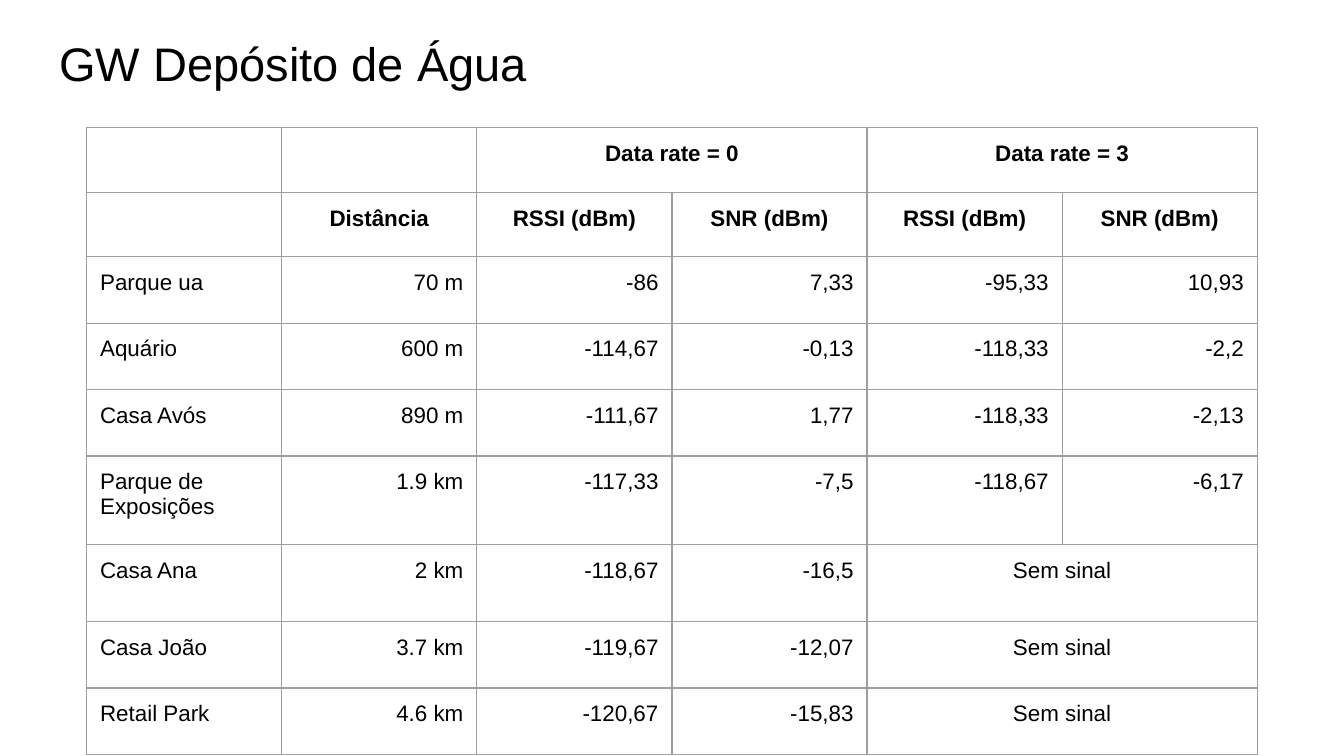
"""Build the gateway signal table slide."""
from lxml import etree
from pptx import Presentation
from pptx.dml.color import RGBColor
from pptx.enum.text import MSO_ANCHOR, MSO_AUTO_SIZE, PP_ALIGN
from pptx.oxml.ns import qn
from pptx.util import Inches, Pt

LEFT, MID, RIGHT = PP_ALIGN.LEFT, PP_ALIGN.CENTER, PP_ALIGN.RIGHT
TOP, FIXED = MSO_ANCHOR.TOP, MSO_AUTO_SIZE.NONE
BLACK = RGBColor(0, 0, 0)
GREY = RGBColor(0x9E, 0x9E, 0x9E)
PAD = Inches(0.1)
WIDE = Inches(8.71)
HEADS = 2
HIGHS = [34.6] * HEADS + [35.6] * 3 + [47.5, 41.2] + [35.6] * 2
PAIR = ["RSSI (dBm)", "SNR (dBm)"]
LOST = ["Sem sinal", None]
ROWS = [
    ["", "", "Data rate = 0", None, "Data rate = 3", None],
    ["", "Distância"] + PAIR * 2,
    ["Parque ua", "70 m", "-86", "7,33", "-95,33", "10,93"],
    ["Aquário", "600 m", "-114,67", "-0,13", "-118,33", "-2,2"],
    ["Casa Avós", "890 m", "-111,67", "1,77", "-118,33", "-2,13"],
    ["Parque de Exposições", "1.9 km", "-117,33", "-7,5", "-118,67", "-6,17"],
    ["Casa Ana", "2 km", "-118,67", "-16,5"] + LOST,
    ["Casa João", "3.7 km", "-119,67", "-12,07"] + LOST,
    ["Retail Park", "4.6 km", "-120,67", "-15,83"] + LOST,
]


def style(para, size, bold, align):
    para.alignment = align
    font = para.font
    font.name, font.size, font.bold = "Arial", Pt(size), bold
    font.color.rgb = BLACK


def border(cell):
    props = cell._tc.get_or_add_tcPr()
    for spot, side in enumerate(("lnL", "lnR", "lnT", "lnB")):
        line = etree.Element(qn("a:" + side), w=str(Pt(0.75)))
        fill = etree.SubElement(line, qn("a:solidFill"))
        etree.SubElement(fill, qn("a:srgbClr"), val=str(GREY))
        props.insert(spot, line)


deck = Presentation()
deck.slide_width = Inches(10)
deck.slide_height = deck.slide_width * 9 // 16
slide = deck.slides.add_slide(deck.slide_layouts[5])

title = slide.shapes.title
title.left, title.top = Inches(0.34), Inches(0.16)
title.width, title.height = Inches(9.32), Inches(0.63)
frame = title.text_frame
frame.text = "GW Depósito de Água"
frame.auto_size, frame.vertical_anchor = FIXED, TOP
frame.margin_left = frame.margin_right = PAD
frame.margin_top = frame.margin_bottom = PAD
style(frame.paragraphs[0], 25.2, False, LEFT)

cols = len(ROWS[0])
grid = slide.shapes.add_table(
    len(ROWS), cols, (deck.slide_width - WIDE) // 2, Inches(0.95),
    WIDE, Pt(sum(HIGHS))).table
grid.first_row = grid.horz_banding = False

for r, (row, high) in enumerate(zip(ROWS, HIGHS)):
    grid.rows[r].height = Pt(high)
    for c, text in enumerate(row):
        cell = grid.cell(r, c)
        cell.fill.background()
        border(cell)
        cell.margin_left = cell.margin_right = PAD
        cell.margin_top = cell.margin_bottom = PAD
        cell.vertical_anchor = TOP
        if text is None:
            grid.cell(r, c - 1).merge(cell)
            continue
        cell.text = text
        head = r < HEADS
        mid = head or text == LOST[0]
        align = MID if mid else RIGHT if c else LEFT
        style(cell.text_frame.paragraphs[0], 12, head, align)

deck.save("out.pptx")
